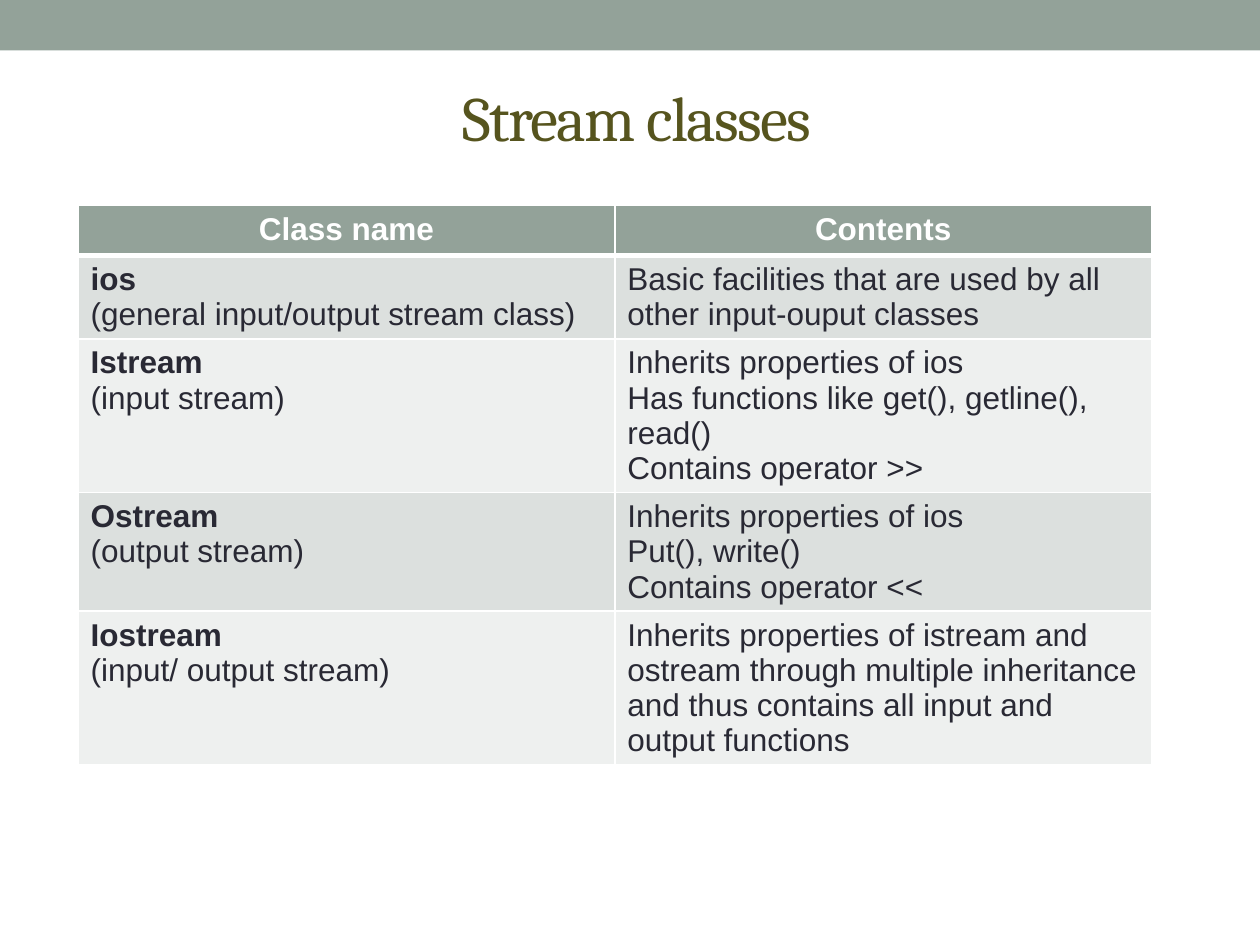
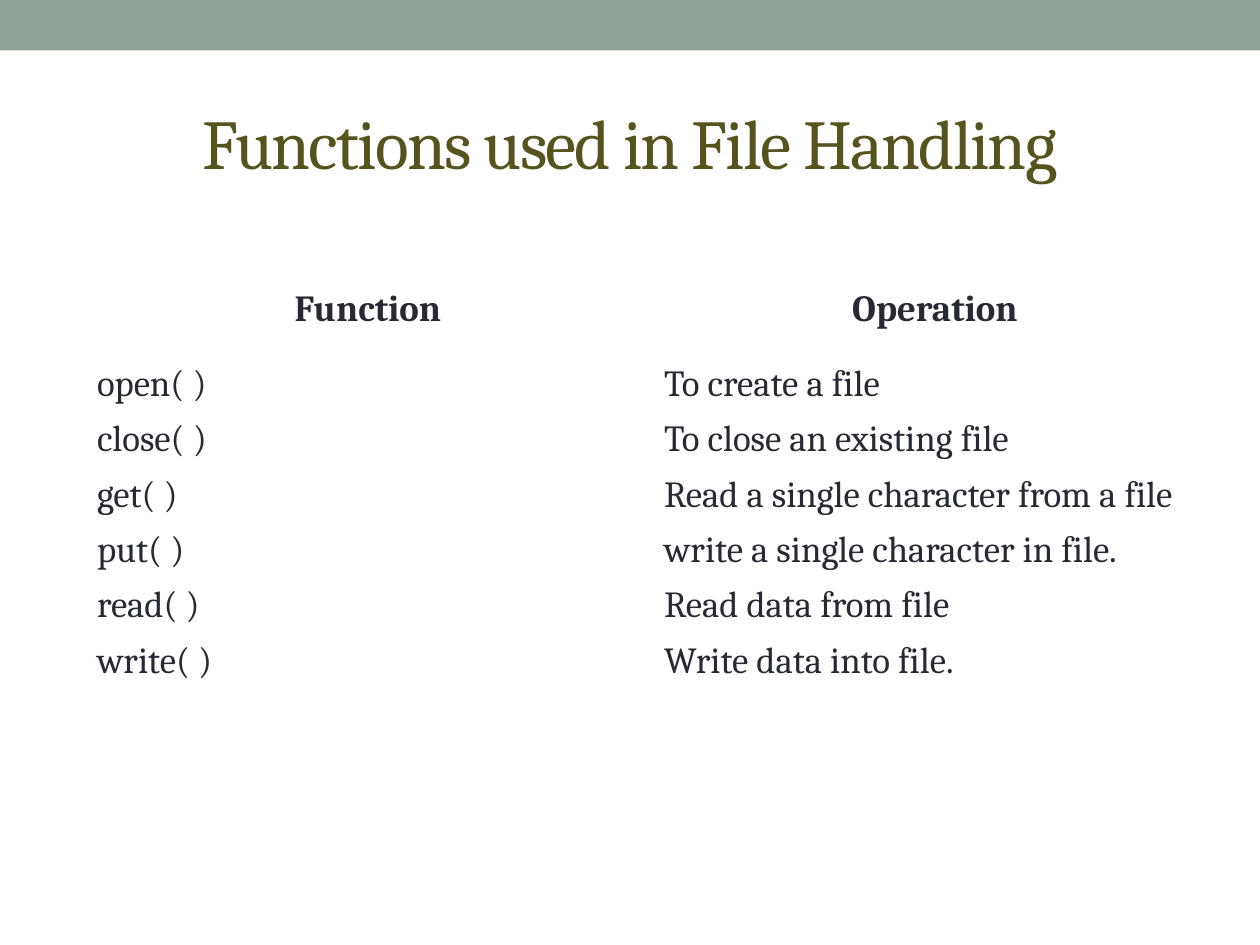
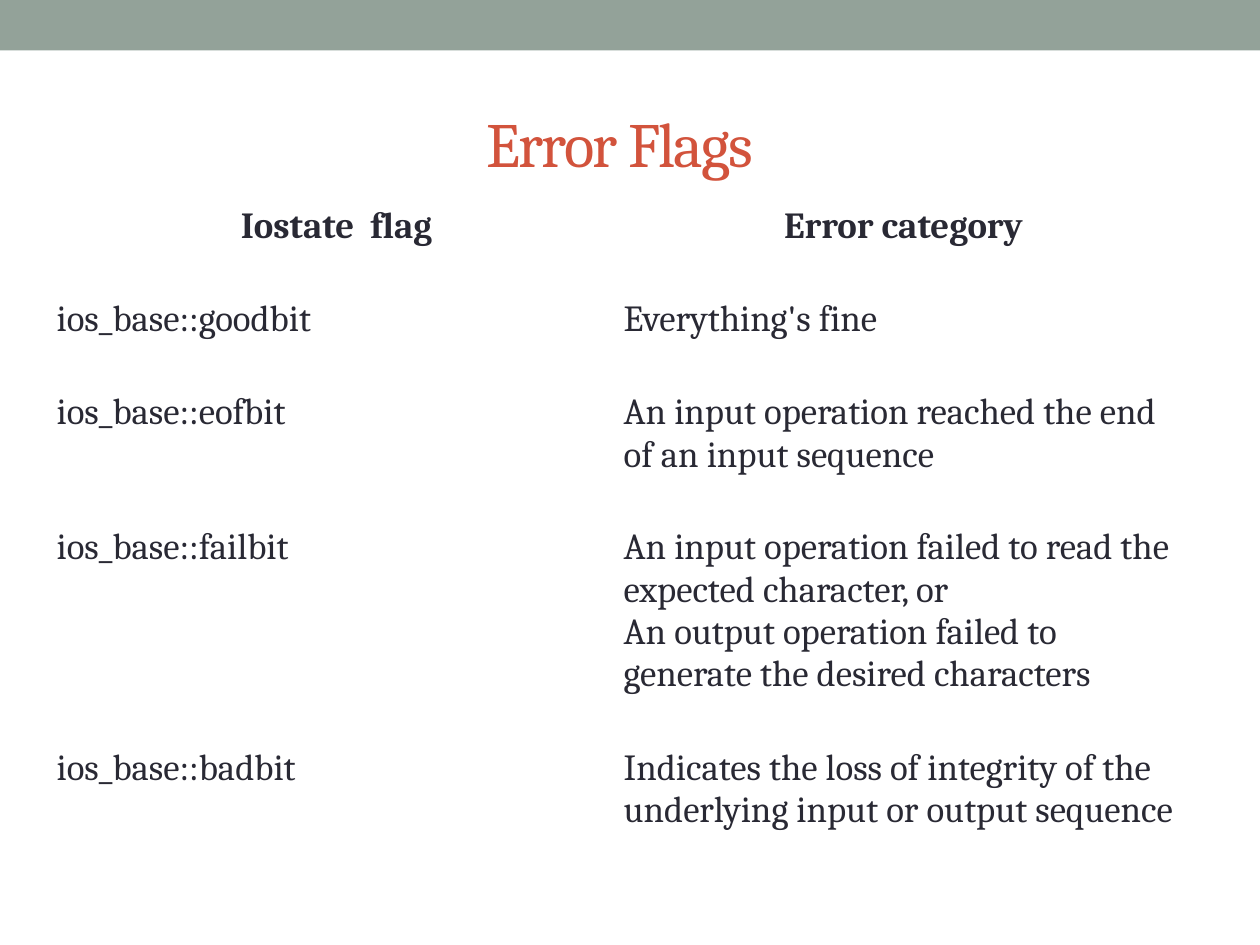
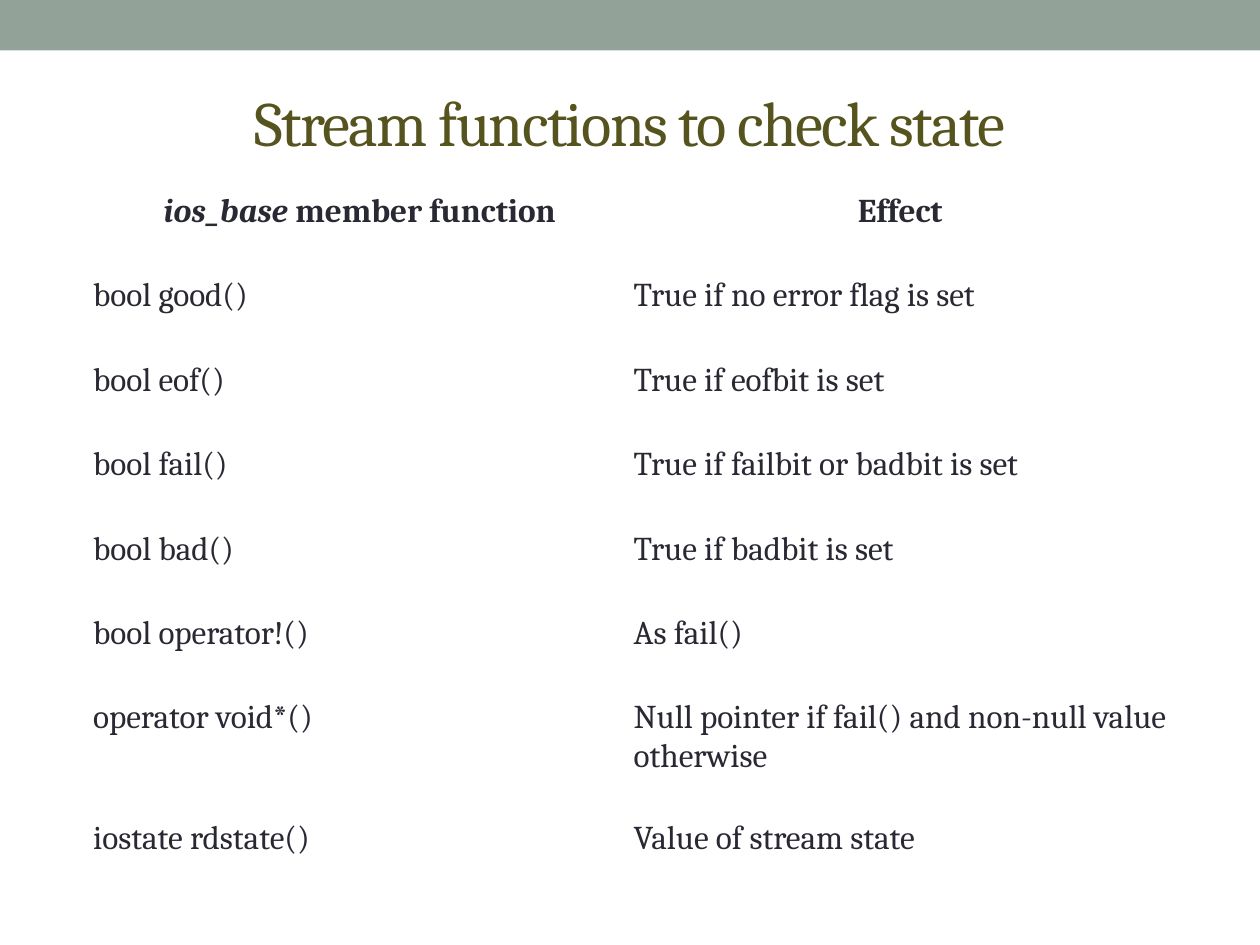
"""Build four slides on C++ stream classes, file functions and error states."""
from lxml.etree import SubElement
from pptx import Presentation
from pptx.dml.color import RGBColor as RGB
from pptx.enum.shapes import MSO_SHAPE as SHAPE
from pptx.enum.text import MSO_ANCHOR as ANCHOR, MSO_AUTO_SIZE as FIT, PP_ALIGN as ALIGN
from pptx.oxml.ns import qn
from pptx.util import Inches, Pt

COLORS = {
    "sage": "93A299",
    "olive": "56541E",
    "red": "D2533C",
    "ink": "292934",
    "white": "FFFFFF",
    "dark_row": "DCE0DE",
    "light_row": "EEF0EF",
}

STREAM_CLASSES = [
    ("Class name", "Contents"),
    ("ios\n(general input/output stream class)",
     "Basic facilities that are used by all other input-ouput classes"),
    ("Istream\n(input stream)",
     "Inherits properties of ios\nHas functions like get(), getline(), read()\n"
     "Contains operator >>"),
    ("Ostream\n(output stream)",
     "Inherits properties of ios\nPut(), write()\nContains operator <<"),
    ("Iostream\n(input/ output stream)",
     "Inherits properties of istream and ostream through multiple inheritance "
     "and thus contains all input and output functions"),
]

FILE_FUNCTIONS = [
    ("Function", "Operation"),
    ("open( )", "To create a file"),
    ("close( )", "To close an existing file"),
    ("get( )", "Read a single character from a file"),
    ("put( )", "write a single character in file."),
    ("read( )", "Read data from file"),
    ("write( )", "Write data into file."),
]

ERROR_FLAGS = [
    ("Iostate  flag", "Error category"),
    ("ios_base::goodbit", "Everything's fine"),
    ("ios_base::eofbit", "An input operation reached the end of an input sequence"),
    ("ios_base::failbit",
     "An input operation failed to read the expected character, or\n"
     "An output operation failed to generate the desired characters"),
    ("ios_base::badbit",
     "Indicates the loss of integrity of the underlying input or output sequence"),
]

STATE_FUNCTIONS = [
    ("ios_base member function", "Effect"),
    ("bool good()", "True if no error flag is set"),
    ("bool eof()", "True if eofbit is set"),
    ("bool fail()", "True if failbit or badbit is set"),
    ("bool bad()", "True if badbit is set"),
    ("bool operator!()", "As fail()"),
    ("operator void*()", "Null pointer if fail() and non-null value otherwise"),
    ("iostate rdstate()", "Value of stream state"),
]


class Deck:
    def __init__(self):
        self.prs = Presentation()
        self.prs.slide_width, self.prs.slide_height = Inches(10), Inches(7.5)
        self.slide = None

    def color(self, name):
        return RGB.from_string(COLORS[name])

    def style(self, r, size, color="ink", font="Cambria", bold=False, italic=False):
        r.font.name, r.font.size = font, Pt(size)
        r.font.bold, r.font.italic = bold, italic
        r.font.color.rgb = self.color(color)

    def add_slide(self, title, left, top, width, height, size=36, color="olive"):
        self.slide = self.prs.slides.add_slide(self.prs.slide_layouts[5])
        if len(self.prs.slides) == 1:
            self.add_master_band()
        sp = self.slide.shapes.title
        sp.left, sp.top = Inches(left), Inches(top)
        sp.width, sp.height = Inches(width), Inches(height)
        tf = sp.text_frame
        tf.text = title
        tf.auto_size, tf.vertical_anchor = FIT.NONE, ANCHOR.MIDDLE
        p = tf.paragraphs[0]
        p.alignment = ALIGN.CENTER
        self.style(p.runs[0], size, color)
        p.runs[0].font._element.set("spc", "-100")

    def add_master_band(self):
        sp = self.slide.shapes.add_shape(
            SHAPE.RECTANGLE, 0, 0, self.prs.slide_width, Inches(0.4))
        sp.shadow.inherit = False
        sp.fill.solid()
        sp.fill.fore_color.rgb = self.color("sage")
        sp.line.fill.background()
        sp.element.nvSpPr.cNvPr.set("id", "20")
        self.prs.slide_master.shapes.element.insert(2, sp.element)

    def add_table(self, rows, left, top, col_width, heights, size, font="Cambria",
                  inset=None, anchor=ANCHOR.TOP, filled=False):
        frame = self.slide.shapes.add_table(
            len(rows), 2, Inches(left), Inches(top),
            Inches(2 * col_width), Inches(sum(heights)))
        table = frame.table
        table.first_row = table.horz_banding = False
        for column in table.columns:
            column.width = Inches(col_width)
        for i, (texts, height) in enumerate(zip(rows, heights)):
            table.rows[i].height = Inches(height)
            for j, text in enumerate(texts):
                cell = table.cell(i, j)
                cell.text_frame.text = text
                cell.vertical_anchor = anchor
                if inset is not None:
                    cell.margin_left = cell.margin_right = Inches(inset)
                    cell.margin_top = cell.margin_bottom = Inches(inset)
                self.paint_cell(cell, i, filled)
                for n, p in enumerate(cell.text_frame.paragraphs):
                    p.alignment = ALIGN.LEFT if i else ALIGN.CENTER
                    bold = i == 0 or (filled and j == 0 and n == 0)
                    color = "white" if filled and i == 0 else "ink"
                    self.style(p.runs[0], size, color, font, bold)
        return table

    def paint_cell(self, cell, row, filled):
        if not filled:
            cell.fill.background()
            return
        for side in "LRTB":
            width = 3 if row == 0 and side == "B" else 1
            ln = SubElement(cell._tc.get_or_add_tcPr(), qn("a:ln" + side), w=str(Pt(width)))
            fill = SubElement(ln, qn("a:solidFill"))
            SubElement(fill, qn("a:srgbClr"), val=COLORS["white"])
        cell.fill.solid()
        name = "sage" if row == 0 else ("light_row", "dark_row")[row % 2]
        cell.fill.fore_color.rgb = self.color(name)

    def italic_lead(self, cell, lead, size):
        p = cell.text_frame.paragraphs[0]
        first = p.runs[0]
        rest = p.add_run()
        rest.text = first.text.removeprefix(lead)
        first.text = lead
        self.style(first, size, bold=True, italic=True)
        self.style(rest, size, bold=True)


def main():
    deck = Deck()

    deck.add_slide("Stream classes", 0.5, 0.62, 9.11, 0.61)
    deck.add_table(STREAM_CLASSES, 0.62, 1.63, 4.26, [0.4, 0.66, 1.22, 0.94, 1.22],
                   18, font="Arial", filled=True)

    deck.add_slide("Functions used in File Handling", 0.5, 0.58, 9, 1.08, size=40)
    deck.add_table(FILE_FUNCTIONS, 0.67, 2.08, 4.5, [0.75] + [0.44] * 6,
                   21, anchor=ANCHOR.MIDDLE)

    deck.add_slide("Error Flags", 0.42, 0.59, 9, 1.08, color="red")
    deck.add_table(ERROR_FLAGS, 0.42, 1.6, 4.5, [0.74, 0.74, 1.07, 1.75, 0.74],
                   21, inset=0.03)

    deck.add_slide("Stream functions to check state", 0.5, 0.42, 9, 1.08)
    table = deck.add_table(STATE_FUNCTIONS, 0.71, 1.5, 4.29,
                           [0.67] * 6 + [0.96, 0.63], 19, inset=0.03)
    deck.italic_lead(table.cell(0, 0), "ios_base ", 19)

    deck.prs.save("out.pptx")


if __name__ == "__main__":
    main()
